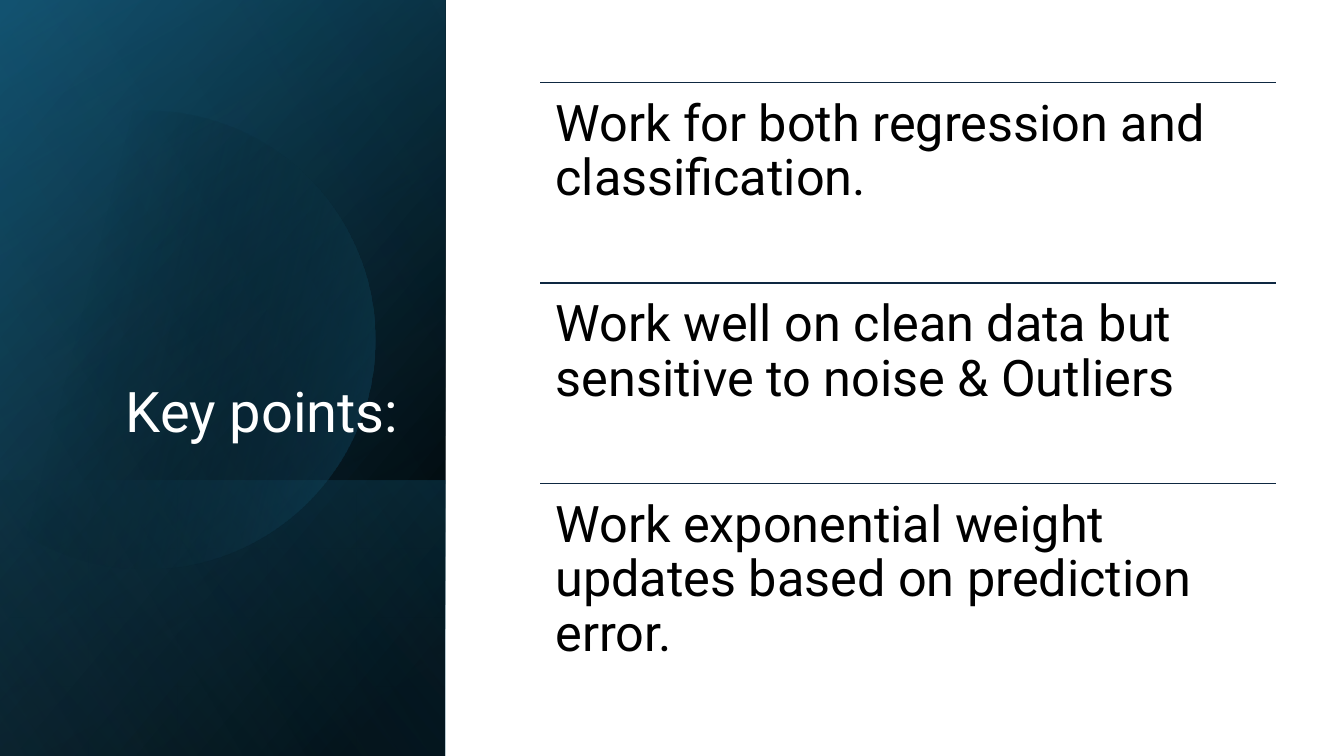
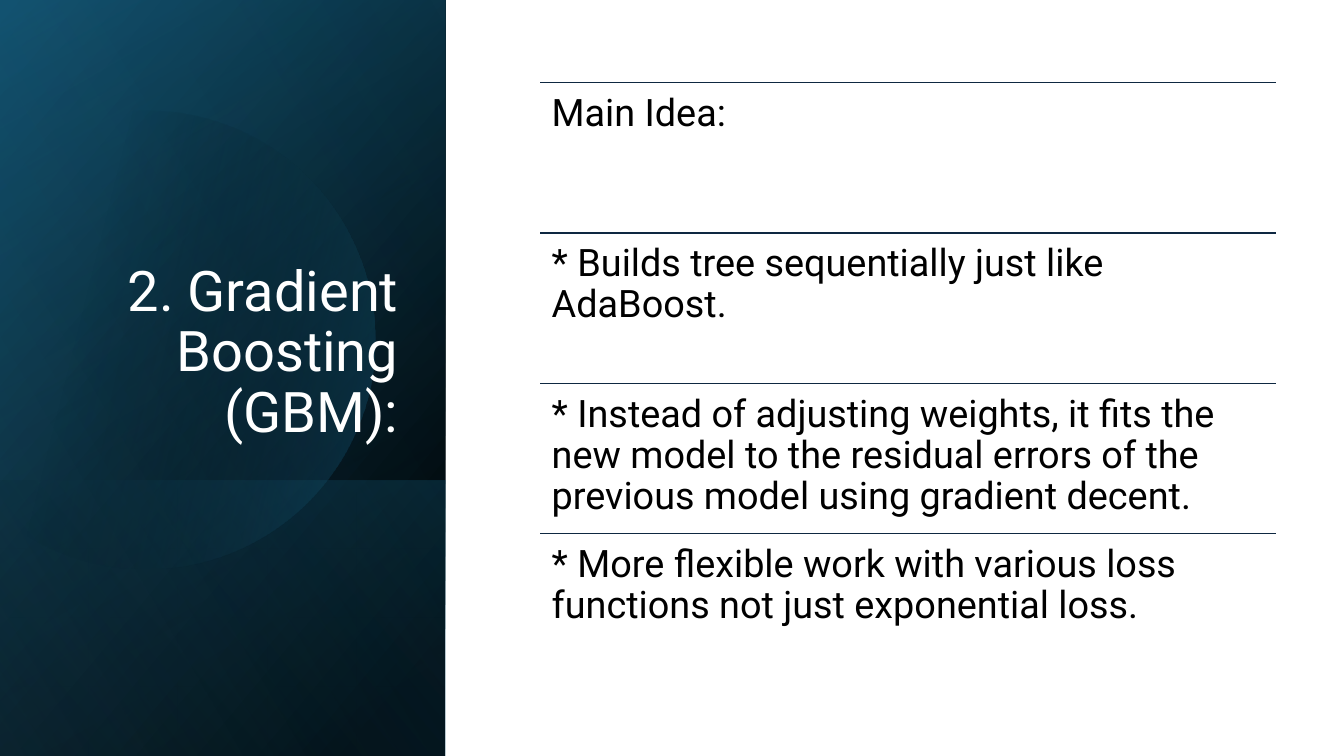
import math
from dataclasses import dataclass

import pptx
import pptx.dml.color
import pptx.enum.shapes
import pptx.enum.text
import pptx.oxml
import pptx.oxml.ns
import pptx.util
from lxml import etree

Cm = pptx.util.Cm
Pt = pptx.util.Pt
RGB = pptx.dml.color.RGBColor.from_string
qn = pptx.oxml.ns.qn
Align = pptx.enum.text.PP_ALIGN
Anchor = pptx.enum.text.MSO_ANCHOR


@dataclass(frozen=True)
class Theme:
    font: str = "Roboto"
    black: str = "000000"
    white: str = "FFFFFF"
    navy: str = "0E2841"
    deep: str = "104862"
    teal: str = "156082"
    sky: str = "46B1E1"
    title: int = 40
    large: int = 36
    small: int = 27
    lead: float = 0.9


THEME = Theme()
WIDE, HIGH = 33.87, 19.05
BAND = 11.22


class Deck:
    def __init__(self, theme):
        self.theme = theme
        self.prs = pptx.Presentation()
        self.prs.slide_width = Cm(WIDE)
        self.prs.slide_height = Cm(HIGH)
        self.slide = None

    def start(self, title):
        self.slide = self.prs.slides.add_slide(self.prs.slide_layouts[5])
        self.band()
        self.title(title)

    def blend(self, shape, stops, angle):
        """Fill with two (position, colour, opacity) stops, angle clockwise."""
        shape.shadow.inherit = False
        shape.line.fill.background()
        shape.fill.gradient()
        shape.fill.gradient_angle = 360 - angle
        for stop, (pos, color, _) in zip(shape.fill.gradient_stops, stops):
            stop.position = pos / 100
            stop.color.rgb = RGB(color)
        marks = shape._element.iter(qn("a:srgbClr"))
        for mark, (_, _, alpha) in zip(list(marks), stops):
            if alpha < 100:
                etree.SubElement(mark, qn("a:alpha"), val=str(alpha * 1000))

    def panel(self, top, stops, angle):
        """Draw a mirrored quarter-turned panel from top to the slide's foot."""
        high = HIGH - top
        shift = (BAND - high) / 2
        shape = self.slide.shapes.add_shape(
            pptx.enum.shapes.MSO_SHAPE.RECTANGLE,
            Cm(shift), Cm(top - shift), Cm(high), Cm(BAND))
        shape.rotation = 90
        shape._element.spPr.xfrm.set("flipH", "1")
        self.blend(shape, stops, angle)

    def disc(self, x, y, radius, edge, stops, angle):
        """Draw a circle cut off by a vertical edge on its left."""
        half = math.acos((edge - x) / radius)
        count = 120
        turns = [half * (2 * i / count - 1) for i in range(count + 1)]
        dots = [(Cm(x + radius * math.cos(t)), Cm(y + radius * math.sin(t)))
                for t in turns]
        outline = self.slide.shapes.build_freeform(*dots[0])
        outline.add_line_segments(dots[1:], close=True)
        self.blend(outline.convert_to_shape(), stops, angle)

    def band(self):
        t = self.theme
        self.panel(0, [(8, t.black, 100), (100, t.deep, 100)], 50)
        self.panel(0, [(0, t.black, 0), (99, t.teal, 46)], 30)
        self.panel(12.1, [(2, t.teal, 29), (100, t.black, 30)], 130)
        self.disc(3.68, 8.55, 5.77, -0.38,
                  [(29, t.black, 0), (100, t.teal, 43)], 14)
        self.panel(0, [(0, t.black, 0), (99, t.sky, 11)], 120)

    def fill(self, frame, text, size, color, align, anchor):
        frame.word_wrap = True
        frame.auto_size = pptx.enum.text.MSO_AUTO_SIZE.NONE
        frame.vertical_anchor = anchor
        para = frame.paragraphs[0]
        para.alignment = align
        para.line_spacing = self.theme.lead
        run = para.add_run()
        run.text = text
        run.font.name = self.theme.font
        run.font.size = Pt(size)
        run.font.color.rgb = RGB(color)

    def title(self, text):
        box = self.slide.shapes.title
        box.left, box.top = Cm(1.63), Cm(4.67)
        box.width, box.height = Cm(8.66), Cm(6.65)
        self.fill(box.text_frame, text, self.theme.title, self.theme.white,
                  Align.RIGHT, Anchor.BOTTOM)
        # The title must lie in front of the band.
        self.slide.shapes._spTree.append(box._element)

    def rule(self, x, y, width):
        line = self.slide.shapes.add_connector(
            pptx.enum.shapes.MSO_CONNECTOR.STRAIGHT,
            Cm(x), Cm(y), Cm(x + width), Cm(y))
        line.line.color.rgb = RGB(self.theme.navy)
        line.line.width = Pt(1)
        etree.SubElement(line._element.spPr, qn("a:effectLst"))

    def text(self, x, y, width, height, text, size):
        box = self.slide.shapes.add_textbox(
            Cm(x), Cm(y), Cm(width), Cm(height))
        frame = box.text_frame
        pad = Cm(size * 0.38 / 36)
        frame.margin_left = frame.margin_right = pad
        frame.margin_top = frame.margin_bottom = pad
        self.fill(frame, text, size, self.theme.black, Align.LEFT, Anchor.TOP)

    def rows(self, items, size):
        """Share the right-hand area equally among ruled rows."""
        x, top, width, total = 13.62, 2.08, 18.53, 15.16
        step = total / len(items)
        for i, item in enumerate(items):
            y = top + i * step
            self.rule(x, y, width)
            self.text(x, y, width, step, item, size)


def main():
    deck = Deck(THEME)
    deck.start("Key points:")
    deck.rows([
        "Work for both regression and classification.",
        "Work well on clean data but sensitive to noise & Outliers",
        "Work exponential weight updates based on prediction error.",
    ], THEME.large)

    deck.start("2. Gradient Boosting (GBM):")
    deck.rows([
        "Main Idea:",
        "* Builds tree sequentially just like AdaBoost.",
        "* Instead of adjusting weights, it fits the new model to the "
        "residual errors of the previous model using gradient decent.",
        "* More flexible work with various loss functions not just "
        "exponential loss.",
    ], THEME.small)
    deck.prs.save("out.pptx")


if __name__ == "__main__":
    main()
